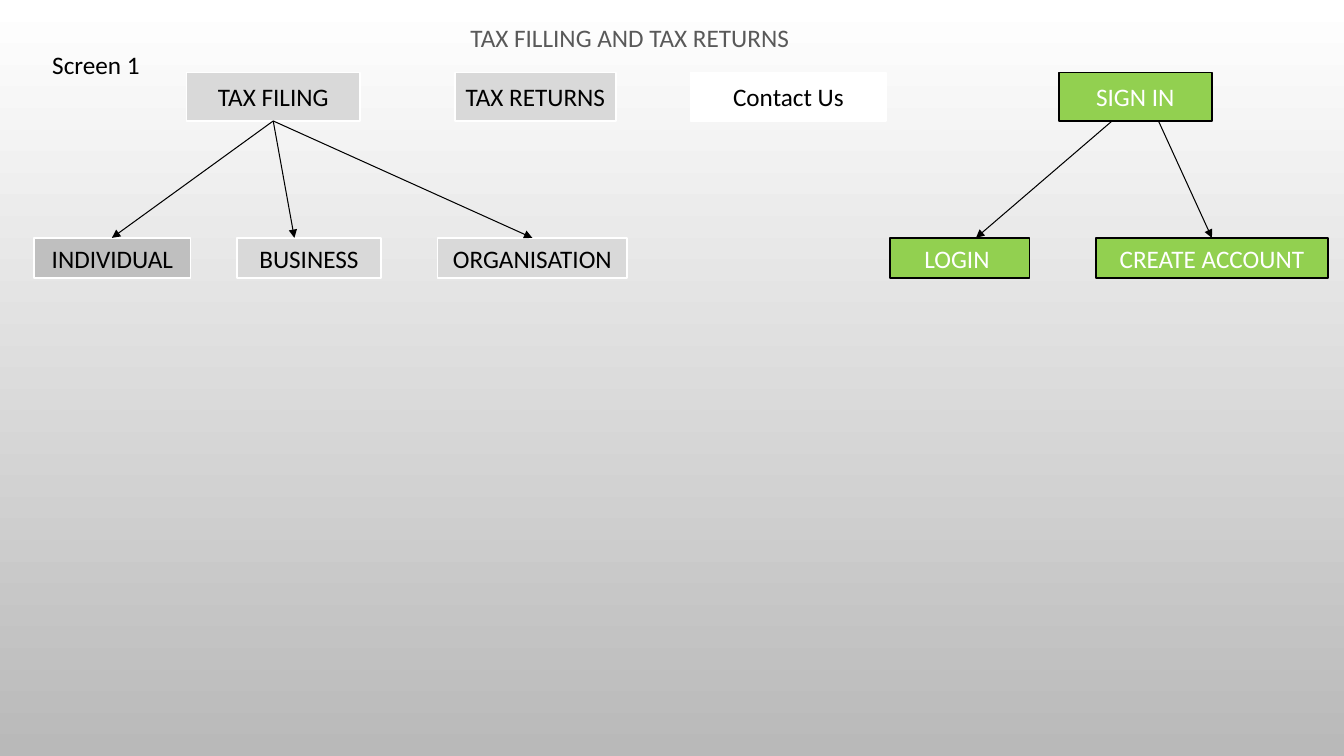
"""Build a screen flow slide for tax filing and tax returns."""
from dataclasses import dataclass

from lxml import etree
from pptx import Presentation
from pptx.dml.color import RGBColor
from pptx.enum.shapes import MSO_CONNECTOR, MSO_SHAPE
from pptx.enum.text import MSO_ANCHOR, MSO_AUTO_SIZE, PP_ALIGN
from pptx.oxml.ns import qn
from pptx.util import Inches, Pt

RECT = MSO_SHAPE.RECTANGLE
STRAIGHT = MSO_CONNECTOR.STRAIGHT
TOP, MIDDLE = MSO_ANCHOR.TOP, MSO_ANCHOR.MIDDLE
LEFT, CENTER = PP_ALIGN.LEFT, PP_ALIGN.CENTER
GROW = MSO_AUTO_SIZE.SHAPE_TO_FIT_TEXT

BLACK = RGBColor(0x00, 0x00, 0x00)
WHITE = RGBColor(0xFF, 0xFF, 0xFF)
GREEN = RGBColor(0x92, 0xD0, 0x50)
LIGHT = RGBColor(0xD9, 0xD9, 0xD9)
MID = RGBColor(0xBF, 0xBF, 0xBF)
SHADE = RGBColor(0xB9, 0xB9, 0xB9)
SLATE = RGBColor(0x59, 0x59, 0x59)

FONT = "Calibri"
SIZE = Pt(18)


@dataclass(frozen=True)
class Row:
    top: float
    height: float


@dataclass(frozen=True)
class Look:
    fill: RGBColor
    line: RGBColor
    ink: RGBColor


@dataclass(frozen=True)
class Box:
    text: str
    left: float
    width: float
    row: Row
    look: Look


@dataclass(frozen=True)
class Arrow:
    start: float
    end: float


MENU = Row(0.72, 0.48)
SUB = Row(2.36, 0.4)

ACCOUNT = Look(GREEN, BLACK, WHITE)
PLAIN = Look(LIGHT, WHITE, BLACK)
ACTIVE = Look(MID, WHITE, BLACK)
BLANK = Look(WHITE, WHITE, BLACK)

BOXES = [
    Box("SIGN IN", 10.5, 1.52, MENU, ACCOUNT),
    Box("LOGIN ", 8.83, 1.38, SUB, ACCOUNT),
    Box("CREATE ACCOUNT", 10.87, 2.3, SUB, ACCOUNT),
    Box("TAX FILING", 1.85, 1.72, MENU, PLAIN),
    Box("TAX RETURNS", 4.51, 1.6, MENU, PLAIN),
    Box("BUSINESS", 2.35, 1.43, SUB, PLAIN),
    Box("ORGANISATION", 4.34, 1.88, SUB, PLAIN),
    Box("INDIVIDUAL", 0.34, 1.55, SUB, ACTIVE),
    Box("Contact Us", 6.85, 1.94, MENU, BLANK),
]

ARROWS = [
    Arrow(11.03, 9.68),
    Arrow(11.49, 12.02),
    Arrow(2.71, 5.28),
    Arrow(2.71, 2.92),
    Arrow(2.71, 1.11),
]


def write(frame, text: str, ink: RGBColor, align, anchor) -> None:
    """Put one styled run into a text frame."""
    frame.vertical_anchor = anchor
    para = frame.paragraphs[0]
    para.alignment = align
    run = para.add_run()
    run.text = text
    run.font.name = FONT
    run.font.size = SIZE
    run.font.color.rgb = ink


def label(shape, text: str, ink: RGBColor) -> None:
    """Write left-aligned text in a frame that grows with it."""
    frame = shape.text_frame
    frame.word_wrap = True
    frame.auto_size = GROW
    write(frame, text, ink, LEFT, TOP)


def draw_box(slide, box: Box) -> None:
    """Draw one screen button."""
    shape = slide.shapes.add_shape(
        RECT, Inches(box.left), Inches(box.row.top),
        Inches(box.width), Inches(box.row.height))
    shape.shadow.inherit = False
    shape.fill.solid()
    shape.fill.fore_color.rgb = box.look.fill
    shape.line.color.rgb = box.look.line
    shape.line.width = Pt(1.25)
    shape.text_frame.word_wrap = False
    write(shape.text_frame, box.text, box.look.ink, CENTER, MIDDLE)


def draw_arrow(slide, arrow: Arrow) -> None:
    """Draw an arrow from the menu row down to the sub row."""
    link = slide.shapes.add_connector(
        STRAIGHT, Inches(arrow.start), Inches(MENU.top + MENU.height),
        Inches(arrow.end), Inches(SUB.top))
    link.line.color.rgb = BLACK
    link.line.width = Pt(0.75)
    etree.SubElement(link.line._get_or_add_ln(), qn("a:tailEnd"),
                     type="triangle")
    etree.SubElement(link._element.spPr, qn("a:effectLst"))


def paint(slide) -> None:
    """Fill the background with a downward gradient."""
    fill = slide.background.fill
    fill.gradient()
    fill.gradient_angle = 270
    for stop, color in zip(fill.gradient_stops, (WHITE, SHADE)):
        stop.color.rgb = color


def main() -> None:
    """Build and save the deck."""
    deck = Presentation()
    deck.slide_width, deck.slide_height = Inches(13.33), Inches(7.5)
    slide = deck.slides.add_slide(deck.slide_layouts[5])
    paint(slide)

    title = slide.shapes.title
    title.left, title.top = Inches(4.51), Inches(0.17)
    title.width, title.height = Inches(4.68), Inches(0.4)
    label(title, " TAX FILLING AND TAX RETURNS", SLATE)

    for box in BOXES:
        draw_box(slide, box)
    for arrow in ARROWS:
        draw_arrow(slide, arrow)

    note = slide.shapes.add_textbox(
        Inches(0.42), Inches(0.44), Inches(1.24), Inches(0.4))
    label(note, "Screen 1", BLACK)
    deck.save("out.pptx")


main()
